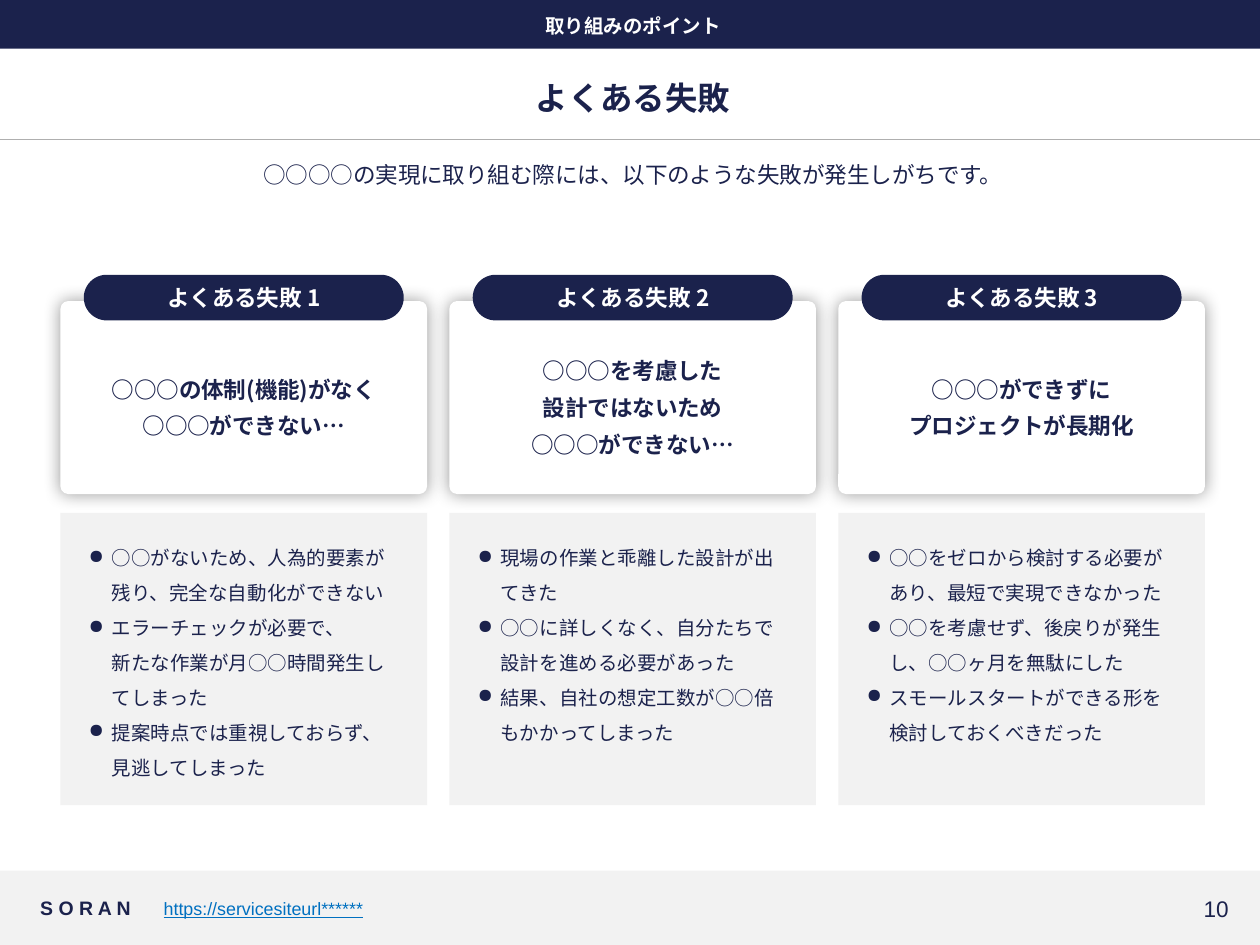
from lxml import etree
from pptx import Presentation
from pptx.dml.color import RGBColor
from pptx.enum.shapes import MSO_CONNECTOR, MSO_SHAPE
from pptx.enum.text import MSO_ANCHOR, MSO_AUTO_SIZE, PP_ALIGN
from pptx.oxml.ns import qn
from pptx.util import Cm, Pt

RECT, ROUND = MSO_SHAPE.RECTANGLE, MSO_SHAPE.ROUNDED_RECTANGLE
LEFT, CENTER, RIGHT = PP_ALIGN.LEFT, PP_ALIGN.CENTER, PP_ALIGN.RIGHT
TOP, MIDDLE = MSO_ANCHOR.TOP, MSO_ANCHOR.MIDDLE

NAVY = RGBColor(0x1B, 0x22, 0x4C)
WHITE = RGBColor(0xFF, 0xFF, 0xFF)
PALE = RGBColor(0xF2, 0xF2, 0xF2)
GRAY = RGBColor(0xAF, 0xAF, 0xAF)
BLUE = RGBColor(0x00, 0x70, 0xC0)
SANS, LATIN = "Noto Sans CJK JP", "Arial"

COLUMNS = [
    (["○○○の体制(機能)がなく", "○○○ができない…"],
     ["○○がないため、人為的要素が残り、完全な自動化ができない",
      "エラーチェックが必要で、\n新たな作業が月○○時間発生してしまった",
      "提案時点では重視しておらず、\n見逃してしまった"]),
    (["○○○を考慮した", "設計ではないため", "○○○ができない…"],
     ["現場の作業と乖離した設計が出てきた",
      "○○に詳しくなく、自分たちで設計を進める必要があった",
      "結果、自社の想定工数が○○倍もかかってしまった"]),
    (["○○○ができずに", "プロジェクトが長期化"],
     ["○○をゼロから検討する必要があり、最短で実現できなかった",
      "○○を考慮せず、後戻りが発生し、○○ヶ月を無駄にした",
      "スモールスタートができる形を検討しておくべきだった"]),
]

deck = Presentation()
deck.slide_width, deck.slide_height = Cm(25.4), Cm(19.05)
slide = deck.slides.add_slide(deck.slide_layouts[3])
shapes = slide.shapes


def panel(kind, x, y, w, h, fill, round_by=None):
    """Add a plain filled shape without outline or shadow."""
    shape = shapes.add_shape(kind, Cm(x), Cm(y), Cm(w), Cm(h))
    shape.shadow.inherit = False
    shape.fill.solid()
    shape.fill.fore_color.rgb = fill
    shape.line.fill.background()
    if round_by is not None:
        shape.adjustments[0] = round_by
    return shape


def write(shape, lines, size, color=NAVY, bold=False, font=SANS,
          align=CENTER, anchor=MIDDLE, after=0, bullet=False, wrap=True):
    """Fill a shape with one paragraph per line and format them."""
    frame = shape.text_frame
    frame.auto_size = MSO_AUTO_SIZE.NONE
    frame.word_wrap = wrap
    frame.vertical_anchor = anchor
    frame.margin_left = frame.margin_right = Cm(0.1)
    frame.margin_top = frame.margin_bottom = Cm(0.1)
    for i, line in enumerate(lines):
        para = frame.paragraphs[0] if i == 0 else frame.add_paragraph()
        para.text = line
        props = para._p.get_or_add_pPr()
        indent = Cm(0.46) if bullet else 0
        props.set("marL", str(indent))
        props.set("indent", str(-indent))
        if bullet:
            etree.SubElement(props, qn("a:buChar")).set("char", "●")
            para.line_spacing = 1.5
        else:
            etree.SubElement(props, qn("a:buNone"))
        para.alignment = align
        para.space_before, para.space_after = Pt(0), Pt(after)
        for run in para.runs:
            run.font.size, run.font.bold = Pt(size), bold
            run.font.color.rgb = color
            run.font.name = font
            asian = etree.SubElement(run._r.get_or_add_rPr(), qn("a:ea"))
            asian.set("typeface", SANS)


# Frame of the page
panel(RECT, 0, 17.55, 25.4, 1.5, PALE)
panel(RECT, 0, 0, 25.4, 0.98, NAVY)
rule = shapes.add_connector(MSO_CONNECTOR.STRAIGHT, 0, Cm(2.82), Cm(25.4), Cm(2.82))
rule.line.color.rgb = GRAY
rule.line.width = Pt(0.5)
etree.SubElement(rule._element.spPr, qn("a:effectLst"))

# Headings, raised above the top band
title, lead, chapter = slide.placeholders
for holder, text, y, h, size, color, bold, anchor in [
    (title, "よくある失敗", 1.47, 1, 18.5, NAVY, True, MIDDLE),
    (lead, "○○○○の実現に取り組む際には、以下のような失敗が発生しがちです。",
     3.15, 1.6, 12.9, NAVY, False, TOP),
    (chapter, "取り組みのポイント", 0.18, 0.71, 11.1, WHITE, True, TOP),
]:
    holder.left, holder.top, holder.width, holder.height = Cm(1.22), Cm(y), Cm(23.08), Cm(h)
    write(holder, [text], size, color, bold, anchor=anchor)
    holder.element.getparent().append(holder.element)

# Three failures
for i, (heads, points) in enumerate(COLUMNS):
    x = 1.22 + 7.84 * i
    inner = x + 0.47
    card = panel(ROUND, x, 6.07, 7.39, 3.89, WHITE, 0.04)
    glow = etree.SubElement(card._element.spPr.find(qn("a:effectLst")), qn("a:outerShdw"))
    glow.set("blurRad", str(Pt(10)))
    tint = etree.SubElement(glow, qn("a:srgbClr"), val="000000")
    etree.SubElement(tint, qn("a:alpha"), val="40000")
    panel(RECT, x, 10.34, 7.39, 5.89, PALE)
    pill = panel(ROUND, inner, 5.54, 6.45, 0.92, NAVY, 0.5)
    write(pill, [f"よくある失敗 {i + 1}"], 12.9, WHITE, True)
    head = shapes.add_textbox(Cm(inner), Cm(6.83), Cm(6.45), Cm(2.77))
    write(head, heads, 12.9, bold=True, after=5.5)
    body = shapes.add_textbox(Cm(inner), Cm(10.67), Cm(6.45), Cm(5.26))
    write(body, points, 11.1, font=LATIN, align=LEFT, anchor=TOP, bullet=True)

# Footer
for text, x, w, size, color, bold, align, wrap in [
    ("S O R A N", 0.71, 2.49, 11.1, NAVY, True, LEFT, False),
    ("https://servicesiteurl******", 3.2, 18.49, 10.2, BLUE, False, LEFT, True),
    ("10", 22.38, 2.49, 12.9, NAVY, False, RIGHT, False),
]:
    box = shapes.add_textbox(Cm(x), Cm(17.91), Cm(w), Cm(0.79))
    write(box, [text], size, color, bold, LATIN, align, wrap=wrap)
    box.text_frame.paragraphs[0].runs[0].font.underline = color == BLUE

deck.save("out.pptx")
